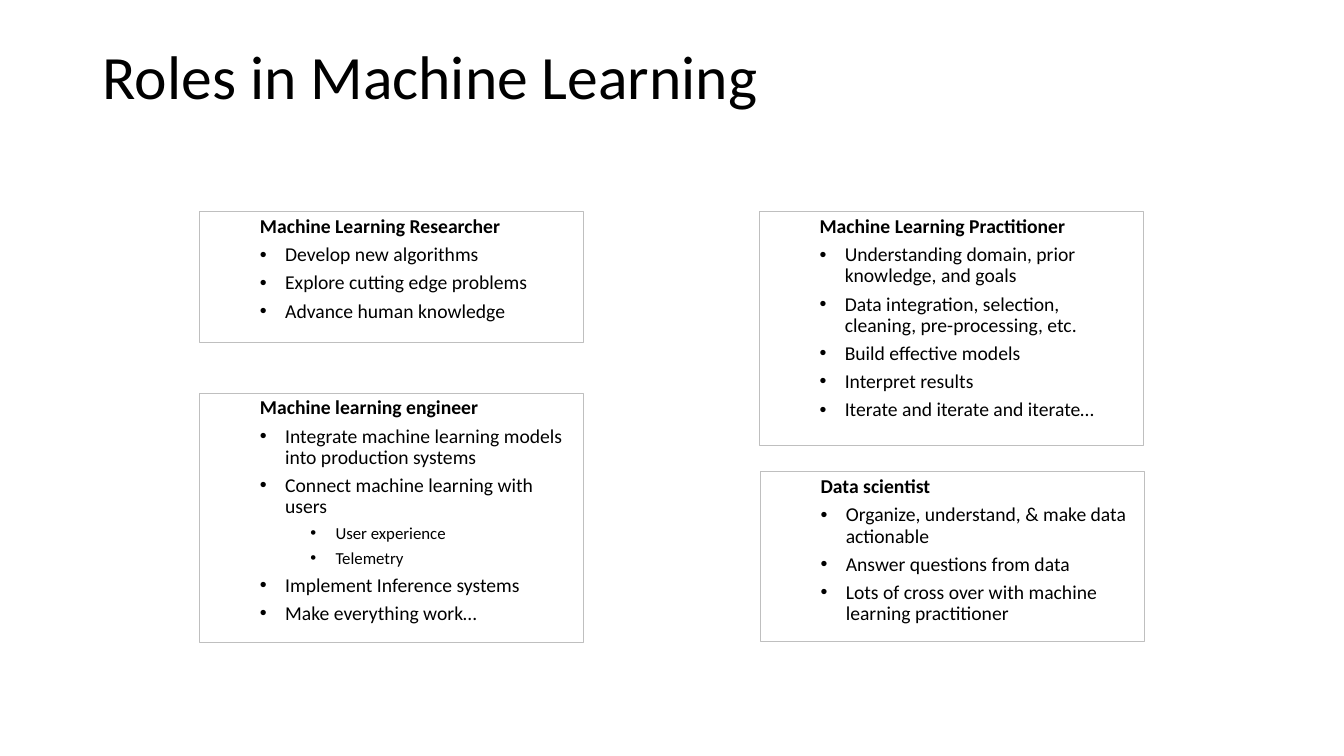
import pptx
import pptx.dml.color
import pptx.enum.shapes
import pptx.enum.text
import pptx.oxml.ns
import pptx.util
from dataclasses import dataclass
from lxml import etree

Inches = pptx.util.Inches
Pt = pptx.util.Pt
Color = pptx.dml.color.RGBColor


@dataclass(frozen=True)
class Theme:
    font: str = "Calibri"
    text: Color = Color(0x00, 0x00, 0x00)
    border: Color = Color(0xBF, 0xBF, 0xBF)
    title_size: int = 44
    body_size: int = 14
    detail_size: int = 12


theme = Theme()

# Each role: left, top, width, height, heading, (level, bullet text)
CARD_WIDTH = 3.81
roles = [
    (1.98, 2.1, 1.3, "Machine Learning Researcher", [
        (1, "Develop new algorithms"),
        (1, "Explore cutting edge problems"),
        (1, "Advance human knowledge"),
    ]),
    (7.53, 2.1, 2.32, "Machine Learning Practitioner", [
        (1, "Understanding domain, prior knowledge, and goals"),
        (1, "Data integration, selection, cleaning, pre-processing, etc."),
        (1, "Build effective models"),
        (1, "Interpret results"),
        (1, "Iterate and iterate and iterate…"),
    ]),
    (7.54, 4.68, 1.68, "Data scientist", [
        (1, "Organize, understand, & make data actionable"),
        (1, "Answer questions from data"),
        (1, "Lots of cross over with machine learning practitioner"),
    ]),
    (1.98, 3.9, 2.47, "Machine learning engineer", [
        (1, "Integrate machine learning models into production systems"),
        (1, "Connect machine learning with users"),
        (2, "User experience"),
        (2, "Telemetry"),
        (1, "Implement Inference systems"),
        (1, "Make everything work…"),
    ]),
]


def style_paragraph(paragraph, size, bold=False):
    paragraph.alignment = pptx.enum.text.PP_ALIGN.LEFT
    paragraph.line_spacing = 0.9
    paragraph.font.name = theme.font
    paragraph.font.size = Pt(size)
    paragraph.font.bold = bold
    paragraph.font.color.rgb = theme.text


def indent_paragraph(paragraph, level, left, first_line, bullet=None):
    paragraph.level = level
    properties = paragraph._p.get_or_add_pPr()
    properties.set("marL", str(Inches(left)))
    properties.set("indent", str(Inches(first_line)))
    if bullet:
        font = etree.SubElement(properties, pptx.oxml.ns.qn("a:buFont"))
        font.set("typeface", "Arial")
        mark = etree.SubElement(properties, pptx.oxml.ns.qn("a:buChar"))
        mark.set("char", bullet)


presentation = pptx.Presentation()
presentation.slide_width = Inches(13.33)
presentation.slide_height = Inches(7.5)
slide = presentation.slides.add_slide(presentation.slide_layouts[6])

# Title
title = slide.shapes.add_textbox(Inches(0.92), Inches(0.4), Inches(11.5), Inches(0.77))
title.text_frame.word_wrap = True
title.text_frame.vertical_anchor = pptx.enum.text.MSO_ANCHOR.MIDDLE
title.text_frame.text = "Roles in Machine Learning"
style_paragraph(title.text_frame.paragraphs[0], theme.title_size)

# Role cards
for left, top, height, heading, bullets in roles:
    card = slide.shapes.add_shape(
        pptx.enum.shapes.MSO_SHAPE.RECTANGLE,
        Inches(left), Inches(top), Inches(CARD_WIDTH), Inches(height))
    card.shadow.inherit = False
    card.fill.background()
    card.line.color.rgb = theme.border
    card.line.width = Pt(0.75)

    text_frame = card.text_frame
    text_frame.word_wrap = True
    text_frame.vertical_anchor = pptx.enum.text.MSO_ANCHOR.TOP
    text_frame.text = heading
    indent_paragraph(text_frame.paragraphs[0], 1, 0.5, 0)
    style_paragraph(text_frame.paragraphs[0], theme.body_size, bold=True)

    for level, text in bullets:
        paragraph = text_frame.add_paragraph()
        paragraph.text = text
        indent_paragraph(paragraph, level, 0.25 + 0.5 * level, -0.25, "•")
        style_paragraph(paragraph, theme.body_size if level == 1 else theme.detail_size)
        paragraph.space_before = Pt(5)

presentation.save("out.pptx")
